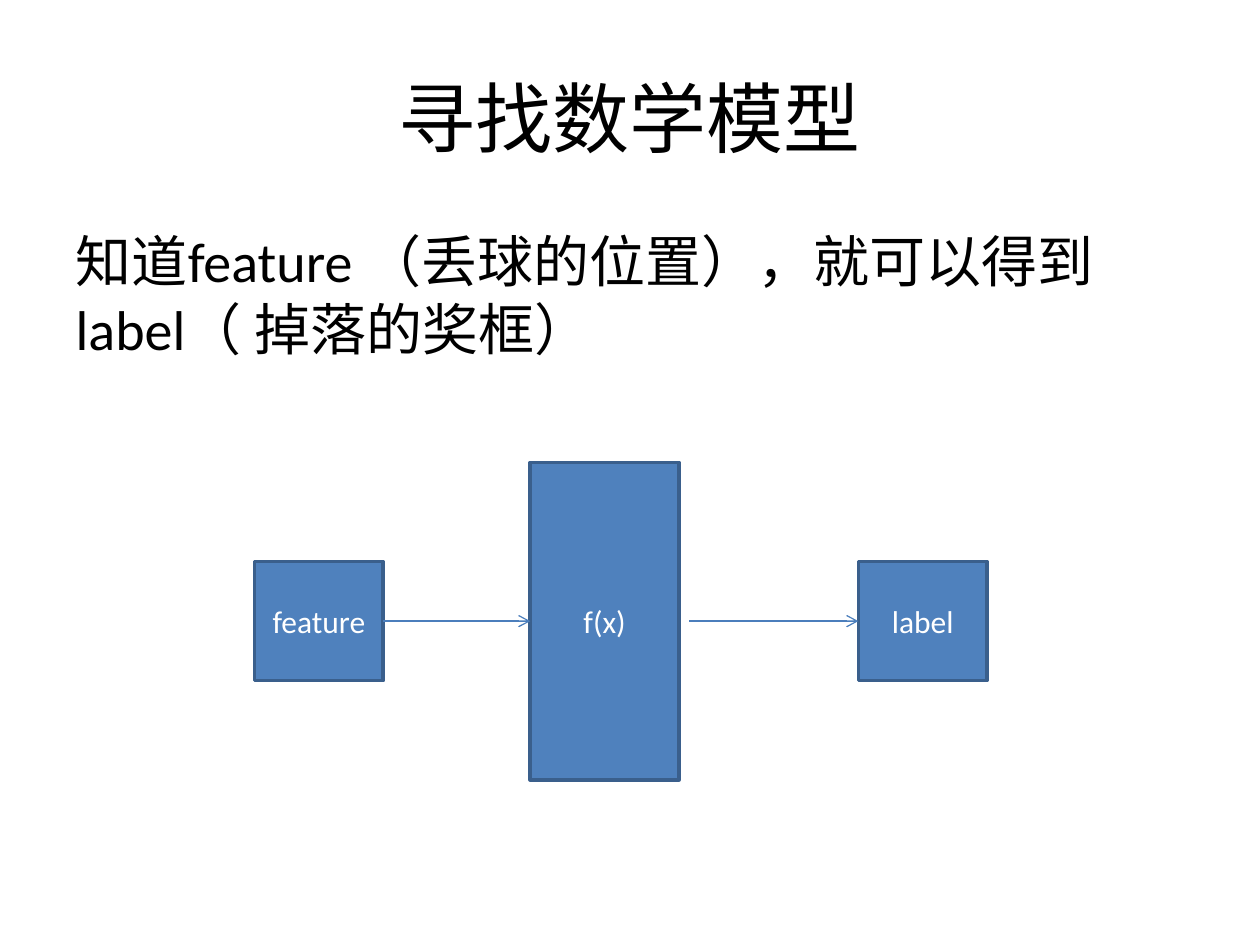
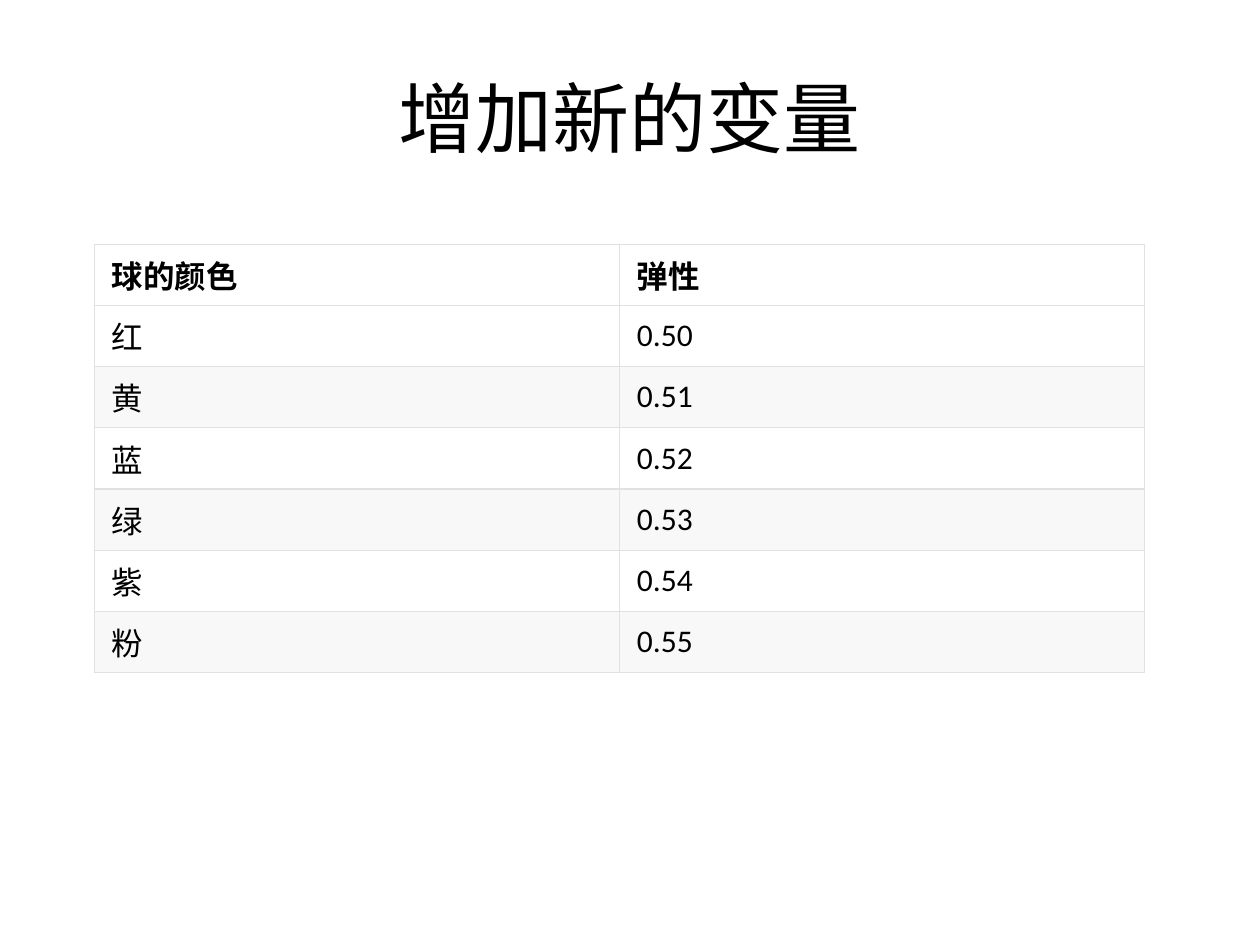
from dataclasses import dataclass

from lxml import etree
from pptx import Presentation
from pptx.dml.color import RGBColor
from pptx.enum.shapes import MSO_CONNECTOR, MSO_SHAPE
from pptx.enum.text import MSO_ANCHOR, MSO_AUTO_SIZE, PP_ALIGN
from pptx.oxml.ns import qn
from pptx.util import Pt


@dataclass(frozen=True)
class Theme:
    font: str = "Calibri"
    title: int = 44
    body: int = 32
    label: int = 18
    ink: str = "000000"
    paper: str = "FFFFFF"
    band: str = "F8F8F8"
    grid: str = "DFE2E5"
    block: str = "4F81BD"
    edge: str = "3A5F8C"
    arrow: str = "4B7EBC"


T = Theme()
TITLE_BOX = (36, 21.6, 648, 90)
BODY_BOX = (36, 126, 648, 356.4)
DIAGRAM_BOX = (145.5, 264.2, 418.5, 181.5)
TABLE_BOX = (54, 139.5, 600, 245)


def rgb(value):
    return RGBColor.from_string(value)


def place(shape, box):
    shape.left, shape.top, shape.width, shape.height = map(Pt, box)


def write(tf, text, size=T.label, color=T.ink, bold=False,
          align=PP_ALIGN.LEFT, anchor=MSO_ANCHOR.MIDDLE):
    tf.word_wrap = True
    tf.vertical_anchor = anchor
    p = tf.paragraphs[0]
    p.alignment = align
    p.space_before = Pt(0)
    r = p.add_run()
    r.text = text
    r.font.name, r.font.size, r.font.bold = T.font, Pt(size), bold
    r.font.color.rgb = rgb(color)
    return p


def add_slide(prs, layout, title):
    s = prs.slides.add_slide(prs.slide_layouts[layout])
    place(s.shapes.title, TITLE_BOX)
    write(s.shapes.title.text_frame, title, size=T.title, align=PP_ALIGN.CENTER)
    return s


def add_body(s, text, box):
    sp = s.placeholders[1]
    place(sp, box)
    sp.text_frame.auto_size = MSO_AUTO_SIZE.NONE
    p = write(sp.text_frame, text, size=T.body, anchor=MSO_ANCHOR.TOP)
    # Plain paragraph: no bullet, no hanging indent
    pPr = p._p.get_or_add_pPr()
    pPr.set("marL", "0")
    pPr.set("indent", "0")
    etree.SubElement(pPr, qn("a:buNone"))


def add_block(s, text, box):
    sp = s.shapes.add_shape(MSO_SHAPE.RECTANGLE, *map(Pt, box))
    sp.shadow.inherit = False
    sp.fill.solid()
    sp.fill.fore_color.rgb = rgb(T.block)
    sp.line.color.rgb = rgb(T.edge)
    sp.line.width = Pt(2)
    write(sp.text_frame, text, color=T.paper, align=PP_ALIGN.CENTER)


def add_arrow(s, x1, x2, y):
    cx = s.shapes.add_connector(MSO_CONNECTOR.STRAIGHT, Pt(x1), Pt(y), Pt(x2), Pt(y))
    cx.line.color.rgb = rgb(T.arrow)
    cx.line.width = Pt(0.75)
    etree.SubElement(cx.line._get_or_add_ln(), qn("a:tailEnd"), type="arrow")
    etree.SubElement(cx._element.spPr, qn("a:effectLst"))


def add_model_diagram(s, box):
    left, top, width, height = box
    middle = top + height / 2
    end_w, end_h, model_w, gap = 73.5, 68, 85, 6
    model_x = left + 157.5
    label_x = left + width - end_w
    # Model between its input and output
    add_block(s, "f(x)", (model_x, top, model_w, height))
    for text, x in (("feature", left), ("label", label_x)):
        add_block(s, text, (x, middle - end_h / 2, end_w, end_h))
    add_arrow(s, left + end_w, model_x, middle)
    add_arrow(s, model_x + model_w + gap, label_x, middle)


def add_borders(cell):
    tcPr = cell._tc.get_or_add_tcPr()
    for side in ("lnL", "lnR", "lnT", "lnB"):
        ln = etree.SubElement(tcPr, qn(f"a:{side}"), w=str(Pt(0.75)))
        fill = etree.SubElement(ln, qn("a:solidFill"))
        etree.SubElement(fill, qn("a:srgbClr"), val=T.grid)


def add_table(s, rows, box):
    table = s.shapes.add_table(len(rows), len(rows[0]), *map(Pt, box)).table
    for row in table.rows:
        row.height = Pt(box[3] / len(rows))
    for i, values in enumerate(rows):
        for j, value in enumerate(values):
            cell = table.cell(i, j)
            cell.margin_left = cell.margin_right = Pt(10)
            cell.margin_top = cell.margin_bottom = Pt(4.3)
            cell.vertical_anchor = MSO_ANCHOR.MIDDLE
            add_borders(cell)
            cell.fill.solid()
            striped = i > 0 and i % 2 == 0
            cell.fill.fore_color.rgb = rgb(T.band if striped else T.paper)
            write(cell.text_frame, value, bold=i == 0)


def main():
    prs = Presentation()
    prs.slide_width, prs.slide_height = Pt(720), Pt(540)

    # Model slide
    s = add_slide(prs, 1, "寻找数学模型")
    add_body(s, "知道feature （丢球的位置），就可以得到label（ 掉落的奖框）", BODY_BOX)
    add_model_diagram(s, DIAGRAM_BOX)

    # Elasticity slide
    s = add_slide(prs, 5, "增加新的变量")
    rows = [("球的颜色", "弹性"), ("红", "0.50"), ("黄", "0.51"), ("蓝", "0.52"),
            ("绿", "0.53"), ("紫", "0.54"), ("粉", "0.55")]
    add_table(s, rows, TABLE_BOX)

    prs.save("out.pptx")


if __name__ == "__main__":
    main()
